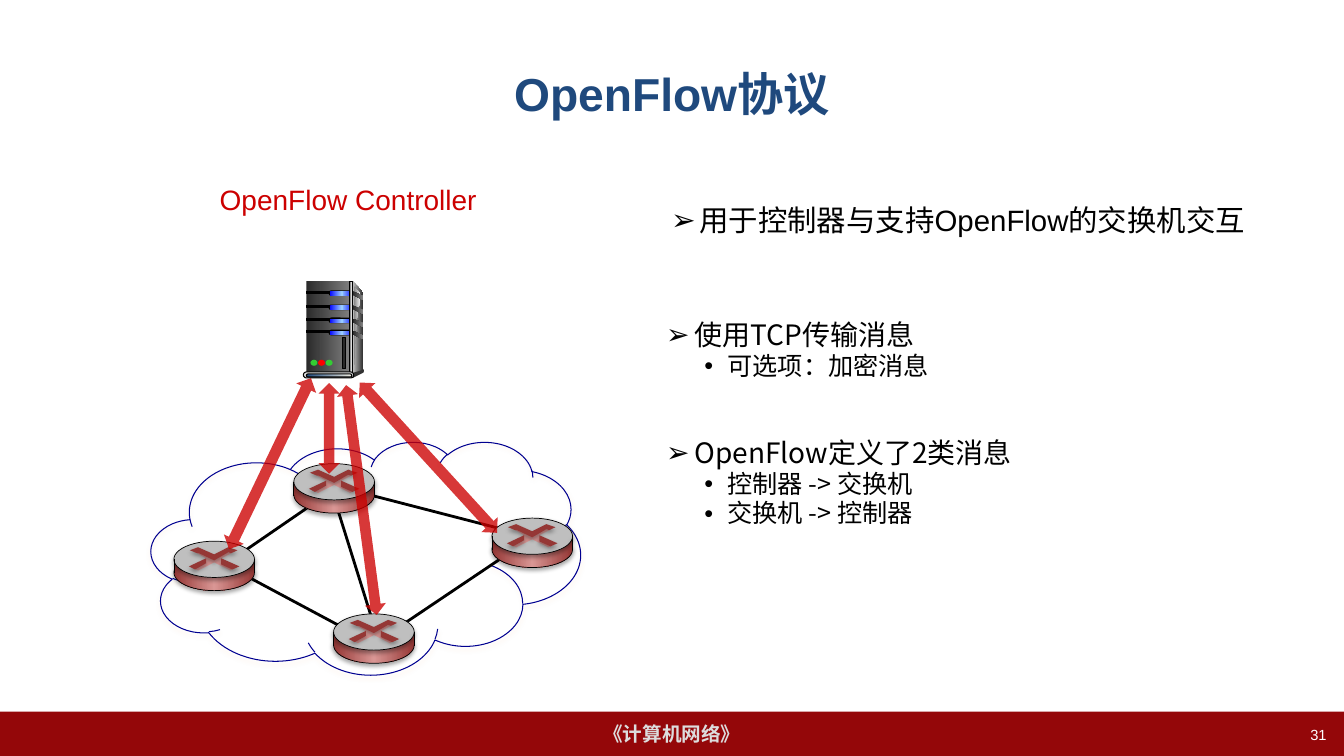
from copy import deepcopy
from lxml import etree
from pptx import Presentation
from pptx import util as u
from pptx.dml.color import RGBColor
from pptx.enum import shapes, text
from pptx.oxml import ns

Pt = u.Pt
KIND = shapes.MSO_SHAPE
ALIGN = text.PP_ALIGN
ANCHOR = text.MSO_ANCHOR

BLACK = RGBColor(0, 0, 0)
WHITE = RGBColor(255, 255, 255)
NAVY = RGBColor(0x1F, 0x49, 0x7D)
CREAM = RGBColor(0xEE, 0xEC, 0xE1)
MAROON = RGBColor(0x94, 0x07, 0x09)
RED = RGBColor(0xCC, 0, 0)
CLOUD_BLUE = RGBColor(0, 0, 0x90)
SILVER = RGBColor(0xDD, 0xDD, 0xDD)
LID_GREY = RGBColor(0xBF, 0xBF, 0xBF)
GREY = RGBColor(0x80, 0x80, 0x80)
PALE = RGBColor(0xF8, 0xF8, 0xF8)
DARK = RGBColor(0x33, 0x33, 0x33)
COAL = RGBColor(0x29, 0x29, 0x29)
GREEN = RGBColor(0x33, 0xCC, 0x33)
LIGHT_RED = RGBColor(0xFF, 0, 0)
BLUE = RGBColor(0, 0, 0xFF)
SKY = RGBColor(0x99, 0xCC, 0xFF)
BRICK = RGBColor(0x95, 0x37, 0x35)
ROSE = RGBColor(0xD9, 0x96, 0x94)
PEACH = RGBColor(0xFC, 0xD5, 0xB5)

CJK = "Noto Sans CJK SC"
PURPOSE = [("用于控制器与支持OpenFlow的交换机交互", 0, 0)]
DETAILS = [
    ("使用TCP传输消息", 0, 0),
    ("可选项：加密消息", 1, 1.6),
    ("OpenFlow定义了2类消息", 0, 41.5),
    ("控制器 -> 交换机", 1, 1.6),
    ("交换机 -> 控制器", 1, 1.6),
]
BULLETS = [("➢", 20.2, 20.2), ("•", 43.9, 16.6)]

LINKS = [
    (160.6, 403.2, 254.9, 338.4),
    (160.6, 403.2, 254.9, 453.6),
    (239.8, 359.3, 265, 439.9),
    (261.4, 352.8, 364.3, 379.4),
    (276.5, 453.6, 364.3, 394.6),
]
ROUTERS = [(238.3, 438.5), (351.4, 370.1), (124.2, 386.6), (209.9, 331.2)]
CROSS = [(28.8, 15.1), (17.3, 20.9), (14.4, 19.4), (23, 15.8), (23, 12.2),
         (16.6, 8.6), (18.7, 7.9), (28.8, 12.2), (38.9, 7.9), (41, 8.6),
         (33.8, 12.2), (35.3, 16.6), (42.5, 19.4), (40.3, 20.9)]
CHEVRON = [(11.5, 6.5), (17.3, 4.3), (28.8, 9.4), (38.9, 4.3), (45.4, 6.5),
           (41, 8.6), (38.9, 7.9), (28.8, 13.7), (18, 8.6), (16.6, 8.6)]
RIGHT_ARM = [(33.8, 12.2), (46.8, 18), (41.8, 20.2), (33.8, 16.6)]
LEFT_ARM = [(23, 12.2), (23, 15.8), (15.1, 20.2), (10.8, 18)]
SERVER_SIDE = [(252, 200.9), (259.2, 208.8), (259.2, 264.2), (250.6, 267.1)]
SERVER_SHINE = [(252.7, 204.5), (257.8, 210.2), (254.9, 228), (253.4, 248), (252.7, 265)]
SERVER_FOOT = [(252, 266.4), (252, 270), (259.2, 266.4), (259.2, 264.2)]
VENT = [(252, 0), (259.2, 3.2), (259.2, 6.1), (252, 2.5)]
SLOT_TOPS = [208.1, 218.2, 227.5, 236.2]
LIGHTS = [GREEN, LIGHT_RED, GREEN]
ARROWS = [
    (250.6, 274.3, 15.1, 165.6, 352.4),
    (227.5, 273.6, 15.1, 64.8, 0),
    (298.1, 254.2, 15.8, 145.4, 317.6),
    (185, 263.5, 15.8, 135.4, 25.6),
]

deck = Presentation()
deck.slide_width, deck.slide_height = Pt(960), Pt(540)
page = deck.slides.add_slide(deck.slide_layouts[5])


def add_xml(parent, tag, **attributes):
    return etree.SubElement(parent, ns.qn(tag), **attributes)


def set_effect(shape, shadow=None):
    effects = add_xml(shape._element.spPr, "a:effectLst")
    if shadow is not None:
        outer = add_xml(effects, "a:outerShdw", blurRad=str(Pt(3.1)), dist=str(Pt(1.8)),
                        dir="5400000", algn="ctr", rotWithShape="0")
        color = add_xml(outer, "a:srgbClr", val=str(shadow))
        add_xml(color, "a:alpha", val="35000")


def paint(shape, fill=None, line=None, weight=0.75, shadow=None):
    if isinstance(fill, list):
        shape.fill.gradient()
        shape.fill.gradient_angle = 0
        stop_list = shape._element.spPr.find(".//" + ns.qn("a:gsLst"))
        while len(stop_list) < len(fill):
            stop_list.append(deepcopy(stop_list[0]))
        for index, (stop, color) in enumerate(zip(shape.fill.gradient_stops, fill)):
            stop.position = index / (len(fill) - 1)
            stop.color.rgb = color
    elif fill is None:
        shape.fill.background()
    else:
        shape.fill.solid()
        shape.fill.fore_color.rgb = fill
    if line is None:
        shape.line.fill.background()
    else:
        shape.line.color.rgb = line
        shape.line.width = Pt(weight)
    set_effect(shape, shadow)
    return shape


def add_form(kind, left, top, width, height, **look):
    shape = page.shapes.add_shape(kind, Pt(left), Pt(top), Pt(width), Pt(height))
    if kind == KIND.ROUNDED_RECTANGLE:
        shape.adjustments[0] = 0.5
    return paint(shape, **look)


def add_outline(points, dx=0, dy=0, **look):
    corners = [(Pt(x + dx), Pt(y + dy)) for x, y in points]
    builder = page.shapes.build_freeform(*corners[0], scale=1.0)
    builder.add_line_segments(corners[1:], close=True)
    return paint(builder.convert_to_shape(), **look)


def add_line(x1, y1, x2, y2, weight, shadow=None):
    line = page.shapes.add_connector(shapes.MSO_CONNECTOR.STRAIGHT, Pt(x1), Pt(y1), Pt(x2), Pt(y2))
    line.line.color.rgb = BLACK
    line.line.width = Pt(weight)
    set_effect(line, shadow)


def write(box, lines, sizes=(20,), font="Arial", color=BLACK, bold=False,
          align=ALIGN.LEFT, anchor=ANCHOR.TOP, wrap=True, bullets=False):
    frame = box.text_frame
    frame.word_wrap = wrap
    frame.auto_size = text.MSO_AUTO_SIZE.NONE
    frame.vertical_anchor = anchor
    for index, (words, level, before) in enumerate(lines):
        para = frame.paragraphs[0] if index == 0 else frame.add_paragraph()
        para.alignment = align
        para.level = level
        if before:
            para.space_before = Pt(before)
        if bullets:
            para.line_spacing = 0.9
            mark, margin, hang = BULLETS[level]
            props = para._p.get_or_add_pPr()
            props.set("marL", str(Pt(margin)))
            props.set("indent", str(-Pt(hang)))
            add_xml(props, "a:buFont", typeface="Arial")
            add_xml(props, "a:buChar", char=mark)
        span = para.add_run()
        span.text = words
        span.font.size = Pt(sizes[level])
        span.font.bold = bold
        span.font.color.rgb = color
        span.font.name = font
        add_xml(span._r.get_or_add_rPr(), "a:ea", typeface=CJK)


def add_text(left, top, width, height, lines, **look):
    box = page.shapes.add_textbox(Pt(left), Pt(top), Pt(width), Pt(height))
    write(box, lines, **look)


def draw_server():
    pill = KIND.ROUNDED_RECTANGLE
    add_outline(SERVER_SIDE, fill=[SILVER, DARK])
    add_form(KIND.RECTANGLE, 218.9, 200.9, 31.7, 66.2, fill=[COAL, GREY])
    add_outline(SERVER_SHINE, fill=[GREY, PALE])
    for top in SLOT_TOPS:
        add_form(KIND.RECTANGLE, 218.9, top, 18, 1.4, fill=BLACK, line=BLACK)
        add_form(pill, 234.7, top - 0.7, 17.3, 4, fill=BLACK)
        add_form(pill, 235.4, top, 17.3, 3.2, fill=[BLUE, SKY, BLUE])
    add_form(KIND.RECTANGLE, 249.8, 200.9, 2.2, 66.2, fill=[DARK, SILVER, DARK], line=BLACK)
    for top in SLOT_TOPS:
        add_outline(VENT, dy=top, fill=[COAL, GREY])
    add_form(KIND.OVAL, 258.5, 263.5, 1.4, 2.9, fill=DARK)
    add_outline(SERVER_FOOT, fill=DARK)
    add_form(pill, 216.7, 265.7, 36, 4.3, fill=SILVER, line=BLACK)
    add_form(pill, 218.9, 267.1, 32.4, 2.2, fill=[NAVY, CREAM], line=BLACK)
    for index, color in enumerate(LIGHTS):
        add_form(KIND.OVAL, 221.8 + 5.4 * index, 257, 5, 4.3, fill=color)
    add_form(KIND.RECTANGLE, 244.8, 241.2, 2.2, 22.3, fill=COAL, line=BLACK)


def draw_router(x, y):
    metal = [BRICK, ROSE, BRICK]
    rim = dict(line=BLACK, weight=0.5, shadow=BLACK)
    add_form(KIND.OVAL, x, y + 9.4, 57.6, 25.9, fill=metal, **rim)
    add_form(KIND.RECTANGLE, x, y + 13, 58, 9.4, fill=metal)
    add_form(KIND.OVAL, x, y, 57.6, 25.9, fill=LID_GREY, **rim)
    add_outline(CROSS, x, y, fill=ROSE)
    for points in (CHEVRON, RIGHT_ARM, LEFT_ARM):
        add_outline(points, x, y, fill=BRICK, shadow=BLACK)
    for side in (x, x + 57.6):
        add_line(side, y + 23, side, y + 13, 0.5, BLACK)


footer = add_form(KIND.RECTANGLE, 0, 508.3, 960, 31.7, fill=MAROON)
write(footer, [("《计算机网络》", 0, 0)], sizes=(14,), color=SILVER, bold=True,
      align=ALIGN.CENTER, anchor=ANCHOR.MIDDLE, wrap=False)

title = page.shapes.title
title.left, title.top, title.width, title.height = Pt(48), Pt(21.6), Pt(864), Pt(90)
write(title, [("OpenFlow协议", 0, 0)], sizes=(33,), color=NAVY, bold=True,
      align=ALIGN.CENTER, anchor=ANCHOR.MIDDLE)
add_text(472.3, 144, 439.2, 60, PURPOSE, sizes=(21,), bullets=True)
add_text(730.8, 514.8, 223.9, 25.2, [("31", 0, 0)], sizes=(10.5,), color=WHITE, align=ALIGN.RIGHT)
add_text(468.7, 226.1, 397.4, 236.2, DETAILS, sizes=(20, 18), font=CJK, bullets=True)

add_form(KIND.CLOUD, 108, 315.4, 306.7, 166.3, line=CLOUD_BLUE, shadow=PEACH)
for link in LINKS:
    add_line(*link, 2)
draw_server()
add_text(149.8, 126.7, 200.2, 31.7, [("OpenFlow Controller", 0, 0)], color=RED, wrap=False)
for corner in ROUTERS:
    draw_router(*corner)
for left, top, width, height, turn in ARROWS:
    arrow = add_form(KIND.UP_DOWN_ARROW, left, top, width, height, fill=RED)
    arrow.rotation = turn
    add_xml(arrow._element.spPr.find(".//" + ns.qn("a:srgbClr")), "a:alpha", val="78000")

deck.save("out.pptx")
